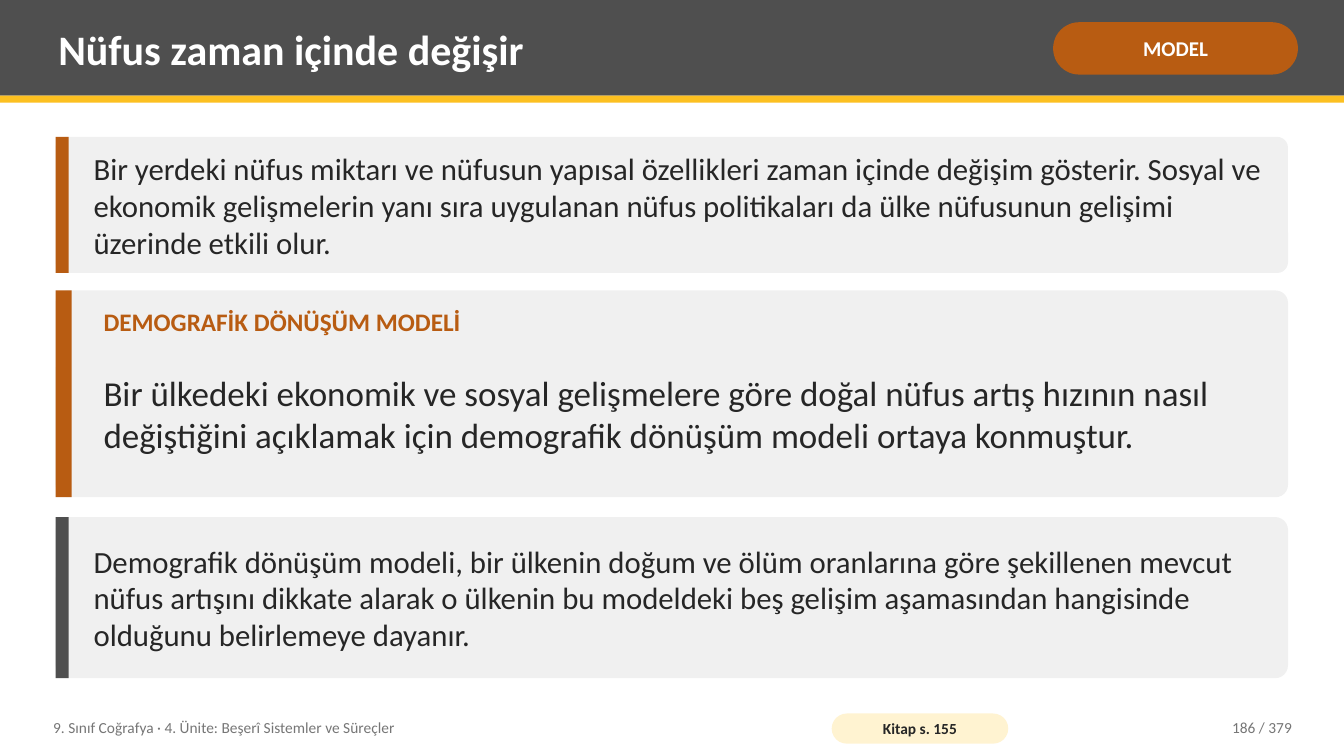
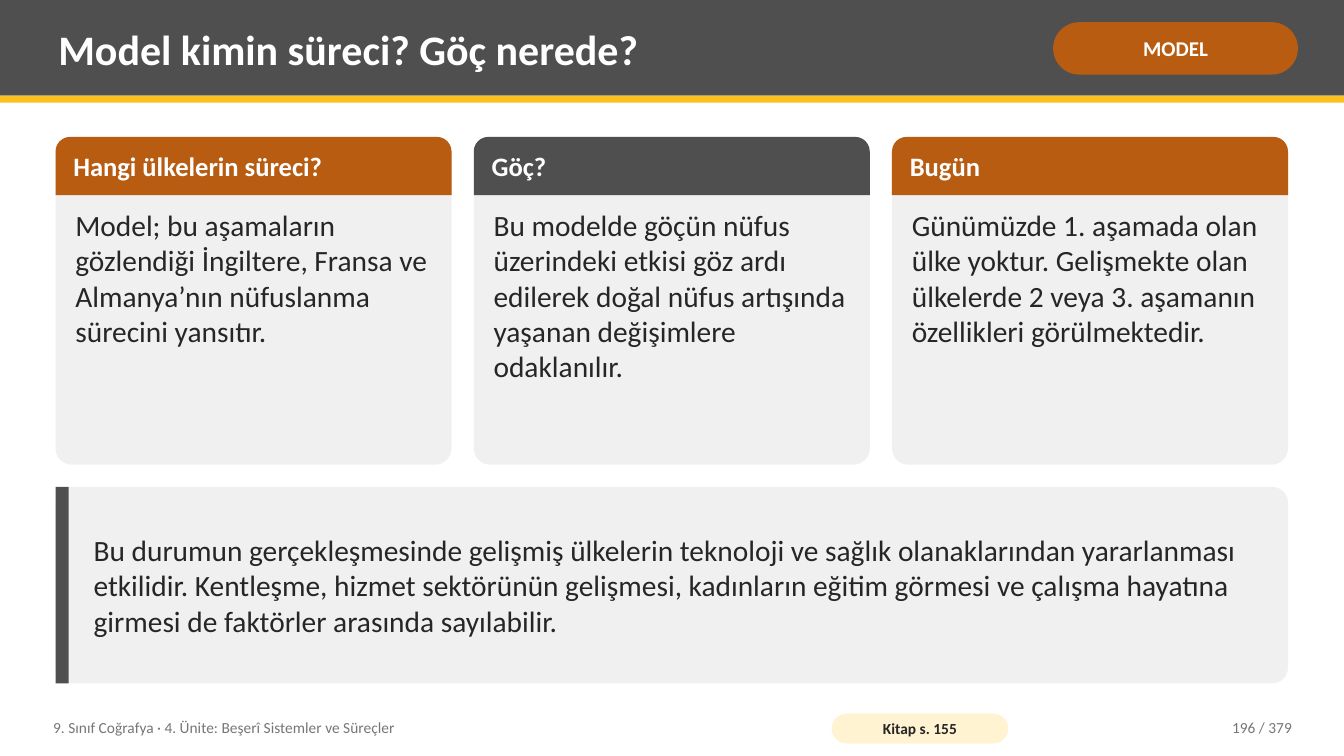
from dataclasses import dataclass

from pptx import Presentation
from pptx.dml.color import RGBColor
from pptx.enum.shapes import MSO_SHAPE
from pptx.enum.text import MSO_ANCHOR, PP_ALIGN
from pptx.util import Cm, Pt

RECT = MSO_SHAPE.RECTANGLE
ROUNDED = MSO_SHAPE.ROUNDED_RECTANGLE
ROUNDED_TOP = MSO_SHAPE.ROUND_2_SAME_RECTANGLE
TOP, MIDDLE = MSO_ANCHOR.TOP, MSO_ANCHOR.MIDDLE
LEFT, CENTER, RIGHT = PP_ALIGN.LEFT, PP_ALIGN.CENTER, PP_ALIGN.RIGHT


@dataclass(frozen=True)
class Theme:
    font: str = "Calibri"
    white: str = "FFFFFF"
    dark: str = "4F4F4F"
    accent: str = "B85C12"
    yellow: str = "FCC021"
    cream: str = "FFF3D1"
    panel: str = "F0F0F0"
    ink: str = "262626"
    muted: str = "767676"
    title: int = 30
    quote: int = 25
    lead: int = 22
    body: int = 21
    card_head: int = 19
    label: int = 18
    badge: int = 15
    footer: int = 11


THEME = Theme()

SLIDE_W, SLIDE_H = 33.87, 19.05
MARGIN, CONTENT_TOP, CONTENT_W = 1.4, 3.45, 31.06
HEADER_H, RULE_H = 2.41, 0.18
CARD_GAP, CARD_H, CARD_HEAD_H = 0.56, 8.26, 1.47
INSETS = (0.2, 0.1)

BADGE = "MODEL"
COURSE = "9. Sınıf Coğrafya · 4. Ünite: Beşerî Sistemler ve Süreçler"
SOURCE_PAGE = "Kitap s. 155"
PAGE_COUNT = 379

CHANGE = {
    "title": "Nüfus zaman içinde değişir",
    "page": 186,
    "intro": "Bir yerdeki nüfus miktarı ve nüfusun yapısal özellikleri zaman içinde "
             "değişim gösterir. Sosyal ve ekonomik gelişmelerin yanı sıra uygulanan "
             "nüfus politikaları da ülke nüfusunun gelişimi üzerinde etkili olur.",
    "label": "DEMOGRAFİK DÖNÜŞÜM MODELİ",
    "definition": "Bir ülkedeki ekonomik ve sosyal gelişmelere göre doğal nüfus artış "
                  "hızının nasıl değiştiğini açıklamak için demografik dönüşüm modeli "
                  "ortaya konmuştur.",
    "basis": "Demografik dönüşüm modeli, bir ülkenin doğum ve ölüm oranlarına göre "
             "şekillenen mevcut nüfus artışını dikkate alarak o ülkenin bu modeldeki "
             "beş gelişim aşamasından hangisinde olduğunu belirlemeye dayanır.",
}

SCOPE = {
    "title": "Model kimin süreci? Göç nerede?",
    "page": 196,
    "cards": [
        ("Hangi ülkelerin süreci?", THEME.accent,
         "Model; bu aşamaların gözlendiği İngiltere, Fransa ve Almanya’nın "
         "nüfuslanma sürecini yansıtır."),
        ("Göç?", THEME.dark,
         "Bu modelde göçün nüfus üzerindeki etkisi göz ardı edilerek doğal nüfus "
         "artışında yaşanan değişimlere odaklanılır."),
        ("Bugün", THEME.accent,
         "Günümüzde 1. aşamada olan ülke yoktur. Gelişmekte olan ülkelerde 2 veya "
         "3. aşamanın özellikleri görülmektedir."),
    ],
    "factors": "Bu durumun gerçekleşmesinde gelişmiş ülkelerin teknoloji ve sağlık "
               "olanaklarından yararlanması etkilidir. Kentleşme, hizmet sektörünün "
               "gelişmesi, kadınların eğitim görmesi ve çalışma hayatına girmesi de "
               "faktörler arasında sayılabilir.",
}


def write(box, text, size, color, bold=False, align=LEFT, anchor=MIDDLE, insets=INSETS):
    frame = box.text_frame
    frame.word_wrap = True
    frame.vertical_anchor = anchor
    frame.margin_left = frame.margin_right = Cm(insets[0])
    frame.margin_top = frame.margin_bottom = Cm(insets[1])
    para = frame.paragraphs[0]
    para.alignment = align
    span = para.add_run()
    span.text = text
    span.font.name = THEME.font
    span.font.size = Pt(size)
    span.font.bold = bold
    span.font.color.rgb = RGBColor.from_string(color)


def add_text(slide, area, text, size, color, **style):
    box = slide.shapes.add_textbox(*map(Cm, area))
    write(box, text, size, color, **style)


def add_block(slide, area, fill, kind=RECT, corner=None):
    block = slide.shapes.add_shape(kind, *map(Cm, area))
    block.shadow.inherit = False
    block.fill.solid()
    block.fill.fore_color.rgb = RGBColor.from_string(fill)
    block.line.fill.background()
    if corner is not None:
        block.adjustments[0] = corner
    return block


def add_panel(slide, top, height, bar_color, bar_width=0.33, corner=0.08):
    add_block(slide, (MARGIN, top, CONTENT_W, height), THEME.panel, ROUNDED, corner)
    add_block(slide, (MARGIN, top, bar_width, height), bar_color)


def add_text_panel(slide, top, height, bar_color, text, size):
    add_panel(slide, top, height, bar_color)
    add_text(slide, (2.16, top, 29.92, height), text, size, THEME.ink)


def add_card(slide, left, width, heading, color, text):
    add_block(slide, (left, CONTENT_TOP, width, CARD_H), THEME.panel, ROUNDED, 0.05)
    add_block(slide, (left, CONTENT_TOP, width, CARD_HEAD_H), color, ROUNDED_TOP, 0.25)
    add_text(slide, (left + 0.25, CONTENT_TOP, width - 0.5, CARD_HEAD_H),
             heading, THEME.card_head, THEME.white, bold=True)
    add_text(slide, (left + 0.3, CONTENT_TOP + CARD_HEAD_H + 0.2, width - 0.6, 6.38),
             text, THEME.body, THEME.ink, anchor=TOP)


def start_slide(deck, content):
    slide = deck.slides.add_slide(deck.slide_layouts[6])
    add_block(slide, (0, 0, SLIDE_W, HEADER_H), THEME.dark)
    add_block(slide, (0, HEADER_H, SLIDE_W, RULE_H), THEME.yellow)
    add_text(slide, (1.27, 0.18, 24.77, 2.08), content["title"],
             THEME.title, THEME.white, bold=True)
    badge = add_block(slide, (26.54, 0.56, 6.17, 1.32), THEME.accent, ROUNDED, 0.5)
    write(badge, BADGE, THEME.badge, THEME.white, bold=True, align=CENTER,
          insets=(0.13, 0.05))
    return slide


def add_footer(slide, page):
    top, height = 17.88, 0.91
    add_text(slide, (1.14, top, 19.3, height), COURSE, THEME.footer, THEME.muted)
    tag = add_block(slide, (20.96, 17.98, 4.45, 0.76), THEME.cream, ROUNDED, 0.5)
    write(tag, SOURCE_PAGE, THEME.footer, THEME.ink, bold=True, align=CENTER,
          insets=(0.1, 0))
    add_text(slide, (28.7, top, 4.06, height), f"{page} / {PAGE_COUNT}",
             THEME.footer, THEME.muted, align=RIGHT)


def build_change(deck, content):
    slide = start_slide(deck, content)
    add_text_panel(slide, CONTENT_TOP, 3.43, THEME.accent, content["intro"], THEME.lead)
    add_panel(slide, 7.32, 5.21, THEME.accent, bar_width=0.41, corner=0.06)
    left, width = 2.41, 29.54
    add_text(slide, (left, 7.62, width, 1.14), content["label"],
             THEME.label, THEME.accent, bold=True, anchor=TOP)
    add_text(slide, (left, 8.71, width, 3.43), content["definition"],
             THEME.quote, THEME.ink)
    add_text_panel(slide, 13.03, 4.06, THEME.dark, content["basis"], THEME.lead)
    add_footer(slide, content["page"])


def build_scope(deck, content):
    slide = start_slide(deck, content)
    cards = content["cards"]
    width = (CONTENT_W - CARD_GAP * (len(cards) - 1)) / len(cards)
    for index, card in enumerate(cards):
        add_card(slide, MARGIN + index * (width + CARD_GAP), width, *card)
    add_text_panel(slide, 12.27, 4.95, THEME.dark, content["factors"], THEME.body)
    add_footer(slide, content["page"])


def main():
    deck = Presentation()
    deck.slide_width, deck.slide_height = Cm(SLIDE_W), Cm(SLIDE_H)
    build_change(deck, CHANGE)
    build_scope(deck, SCOPE)
    deck.save("out.pptx")


if __name__ == "__main__":
    main()
